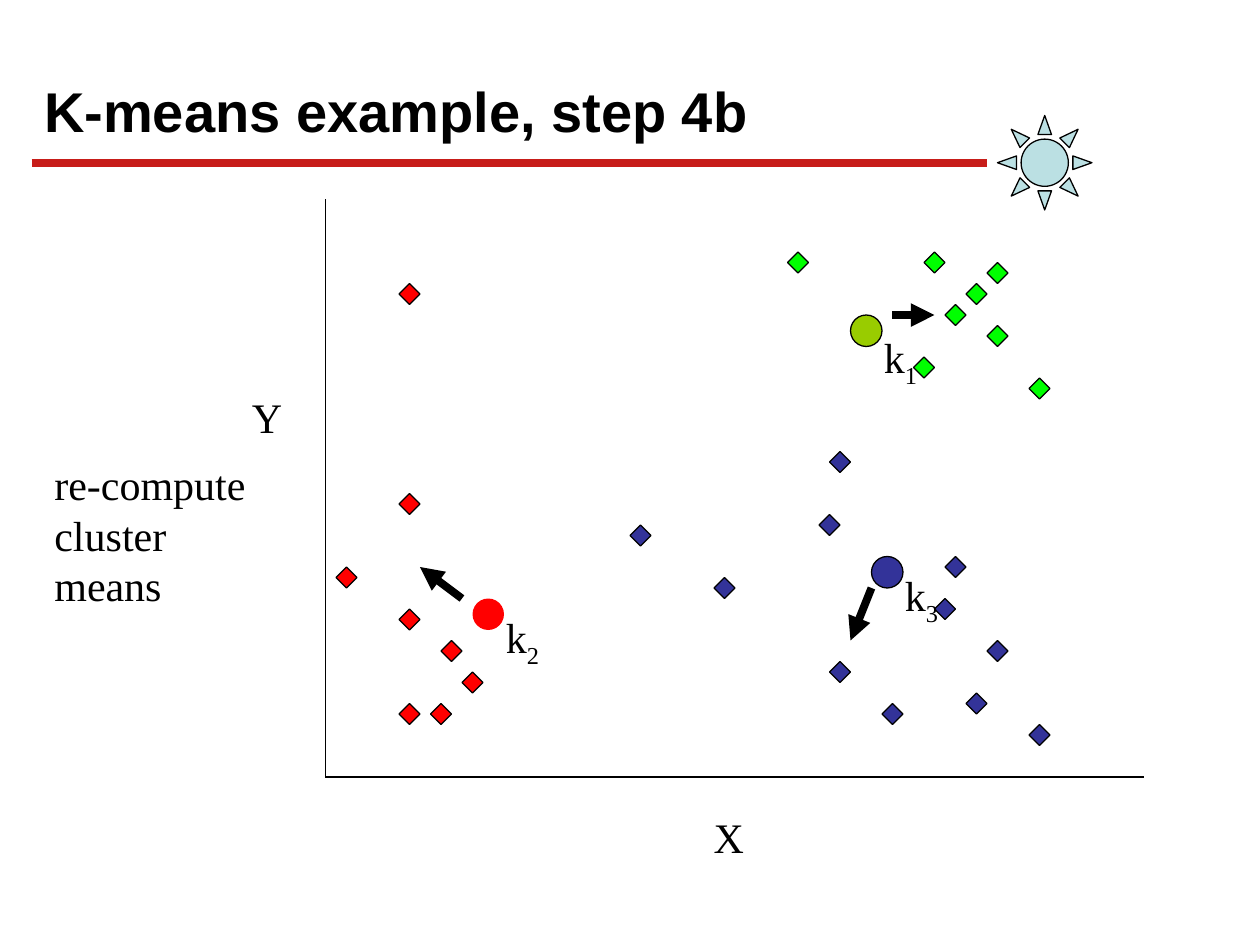
import pptx
import pptx.dml.color
import pptx.enum.shapes
import pptx.enum.text
import pptx.oxml.ns
import pptx.util
from lxml import etree

GRID = 2.54 / 12
BLACK = "000000"
RED = "FF0000"
GREEN = "00FF00"
BLUE = "333399"
OLIVE = "99CC00"
SHAPES = pptx.enum.shapes.MSO_SHAPE
ANCHORS = pptx.enum.text.MSO_ANCHOR

CLUSTERS = {
    RED: [(42, 61), (44, 64), (41, 67), (38, 58), (38, 27), (38, 47), (38, 67), (32, 54)],
    GREEN: [(88, 24), (94, 25), (92, 27), (90, 29), (94, 31), (98, 36), (75, 24), (87, 34)],
    BLUE: [(60, 50), (79, 43), (79, 63), (84, 67), (89, 57), (78, 49), (68, 55),
           (94, 61), (92, 66), (90, 53), (98, 69)],
}
MEANS = [
    ("1", 81, 30, OLIVE, BLACK, 6.7),
    ("3", 83, 53, BLUE, BLACK, 6),
    ("2", 45, 57, RED, None, 6),
]
MOVES = [((44, 57), (40, 54)), ((83, 56), (81, 61)), ((85, 30), (89, 30))]
AXES = [((31, 19), (31, 74)), ((31, 74), (109, 74))]


def rgb(value):
    return pptx.dml.color.RGBColor.from_string(value)


def grid(*steps):
    return [pptx.util.Cm(step * GRID) for step in steps]


class SlideBuilder:
    title_font = "Arial"
    body_font = "Times New Roman"
    title_size = 32
    body_size = 24
    thin = 0.75
    thick = 4.5

    def __init__(self, slide):
        self.slide = slide

    def format_runs(self, paragraph, name, size, bold=False):
        for run in paragraph.runs:
            run.font.name = name
            run.font.size = pptx.util.Pt(size)
            run.font.bold = bold
            run.font.color.rgb = rgb(BLACK)

    def title(self, text, left, top, width, height):
        shape = self.slide.shapes.title
        shape.left, shape.top, shape.width, shape.height = grid(left, top, width, height)
        frame = shape.text_frame
        frame.text = text
        frame.auto_size = pptx.enum.text.MSO_AUTO_SIZE.NONE
        frame.vertical_anchor = ANCHORS.MIDDLE
        paragraph = frame.paragraphs[0]
        paragraph.alignment = pptx.enum.text.PP_ALIGN.LEFT
        self.format_runs(paragraph, self.title_font, self.title_size, True)

    def shape(self, kind, left, top, size, fill, line=BLACK):
        shape = self.slide.shapes.add_shape(kind, *grid(left, top, size, size))
        shape.shadow.inherit = False
        shape.fill.solid()
        shape.fill.fore_color.rgb = rgb(fill)
        if line:
            shape.line.color.rgb = rgb(line)
            shape.line.width = pptx.util.Pt(self.thin)
        else:
            shape.line.fill.background()
        return shape

    def line(self, start, end, width, color=BLACK, arrow=False):
        connector = self.slide.shapes.add_connector(
            pptx.enum.shapes.MSO_CONNECTOR.STRAIGHT, *grid(*start, *end))
        connector.line.color.rgb = rgb(color)
        connector.line.width = pptx.util.Pt(width)
        if arrow:
            outline = connector.line._get_or_add_ln()
            etree.SubElement(outline, pptx.oxml.ns.qn("a:tailEnd"), type="triangle")
        properties = connector._element.spPr
        etree.SubElement(properties, pptx.oxml.ns.qn("a:effectLst"))

    def text(self, text, left, top, width, height, wrap=True, spacing=None,
             anchor=ANCHORS.TOP, subscript=""):
        box = self.slide.shapes.add_textbox(*grid(left, top, width, height))
        frame = box.text_frame
        frame.text = text
        frame.word_wrap = wrap
        frame.vertical_anchor = anchor
        paragraph = frame.paragraphs[0]
        if spacing:
            paragraph.line_spacing = pptx.util.Pt(spacing)
        if subscript:
            run = paragraph.add_run()
            run.text = subscript
            run.font._element.set("baseline", "-25000")
        self.format_runs(paragraph, self.body_font, self.body_size)

    def mean(self, index, left, top, fill, line, label_height):
        self.shape(SHAPES.OVAL, left, top, 3, fill, line)
        self.text("k", left + 2, top + 1, 7, label_height,
                  anchor=ANCHORS.MIDDLE, subscript=index)


def main():
    presentation = pptx.Presentation()
    presentation.slide_width = pptx.util.Cm(25.4)
    presentation.slide_height = pptx.util.Cm(19.05)
    slide = presentation.slides.add_slide(presentation.slide_layouts[5])
    builder = SlideBuilder(slide)

    builder.title("K-means example, step 4b", 3, 7, 70, 7)
    for color, points in CLUSTERS.items():
        for left, top in points:
            builder.shape(SHAPES.DIAMOND, left, top, 2, color)
    for start, end in MOVES:
        builder.line(start, end, builder.thick, arrow=True)
    for start, end in AXES:
        builder.line(start, end, builder.thin)
    builder.text("X", 66.8, 76.7, 5.3, 6, wrap=False, spacing=28.8)
    builder.text("Y", 22.8, 36.7, 5.3, 6, wrap=False, spacing=28.8)
    builder.text("re-compute cluster means", 4, 43.1, 24, 15.6, spacing=28.8)
    for mean in MEANS:
        builder.mean(*mean)
    builder.line((3, 15.5), (94, 15.5), builder.thick, "C71D19")
    builder.shape(SHAPES.SUN, 95, 11, 9, "BBE0E3")

    presentation.save("out.pptx")


if __name__ == "__main__":
    main()
